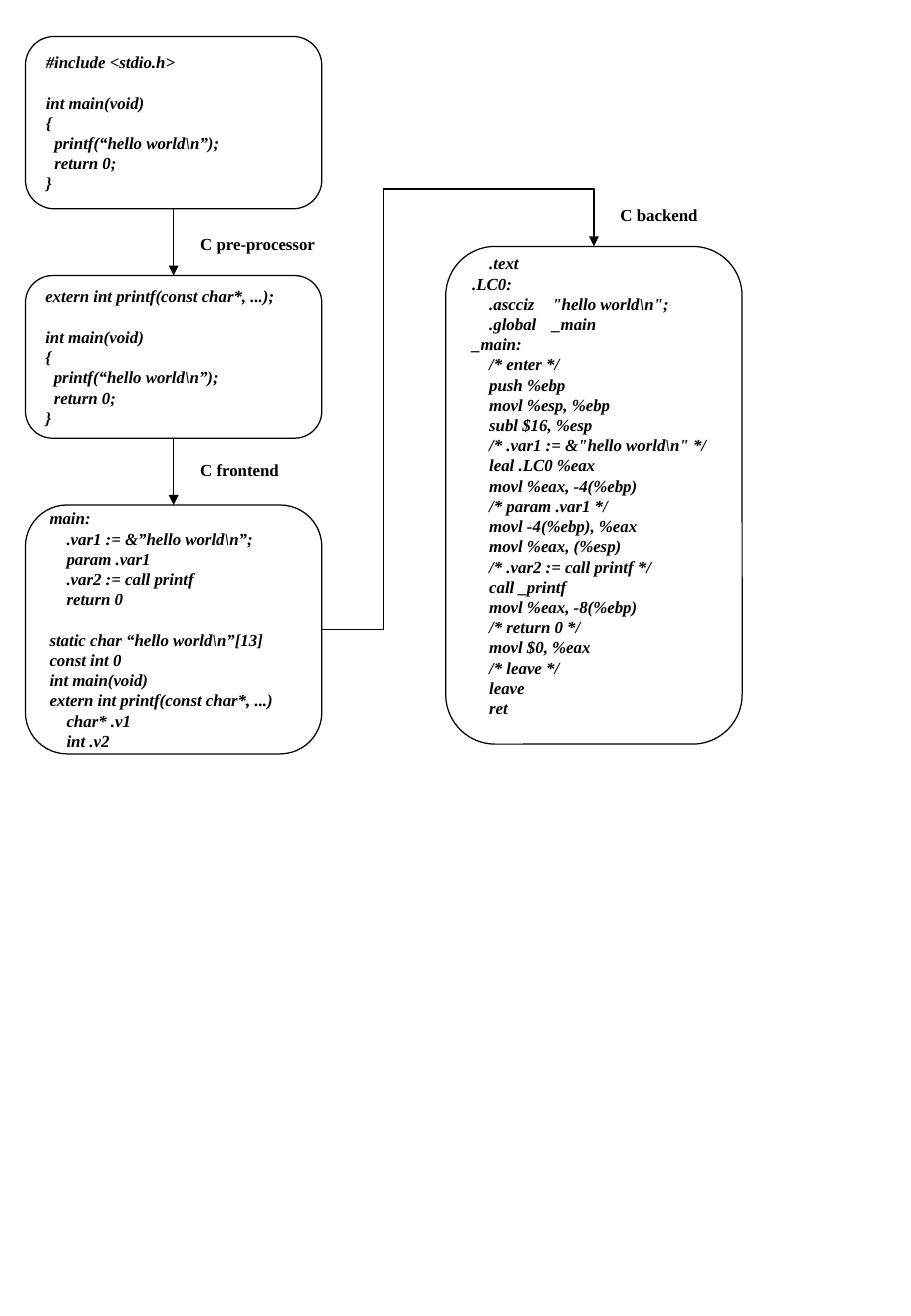
from lxml import etree
from pptx import Presentation
from pptx.dml.color import RGBColor
from pptx.enum.shapes import MSO_CONNECTOR, MSO_SHAPE
from pptx.enum.text import MSO_ANCHOR, PP_ALIGN
from pptx.oxml.ns import qn
from pptx.util import Inches, Pt

ROUNDED = MSO_SHAPE.ROUNDED_RECTANGLE
STRAIGHT, ELBOW = MSO_CONNECTOR.STRAIGHT, MSO_CONNECTOR.ELBOW
MIDDLE, LEFT = MSO_ANCHOR.MIDDLE, PP_ALIGN.LEFT
TOP_SITE, BOTTOM_SITE, RIGHT_SITE = 0, 2, 3
COLORS = {"ink": "000000"}
INK = RGBColor.from_string(COLORS["ink"])
LINE_HEIGHT = Pt(12)
LABEL_FORMAT = {"name": "Times New Roman", "size": Pt(10), "bold": True}
CODE_FORMAT = {**LABEL_FORMAT, "italic": True}

MAIN_CODE = r"""

int main(void)
{
>printf(“hello world\n”);
>return 0;
}"""

INTERMEDIATE_CODE = r"""main:
>.var1 := &”hello world\n”;
>param .var1
>.var2 := call printf
>return 0

static char “hello world\n”[13]
const int 0
int main(void)
extern int printf(const char*, ...)
>char* .v1
>int .v2"""

ASSEMBLY_CODE = r""">.text
.LC0:
>.ascciz>"hello world\n";
>.global>_main
_main:
>/* enter */
>push %ebp
>movl %esp, %ebp
>subl $16, %esp
>/* .var1 := &"hello world\n" */
>leal .LC0 %eax
>movl %eax, -4(%ebp)
>/* param .var1 */
>movl -4(%ebp), %eax
>movl %eax, (%esp)
>/* .var2 := call printf */
>call _printf
>movl %eax, -8(%ebp)
>/* return 0 */
>movl $0, %eax
>/* leave */
>leave
>ret"""

STAGES = [
    ("source", 0.21, 0.3, 1.42, 0.05, [0.07], "#include <stdio.h>" + MAIN_CODE),
    ("preprocessed", 0.21, 2.27, 1.34, 0.05, [0.07],
     "extern int printf(const char*, ...);" + MAIN_CODE),
    ("intermediate", 0.21, 4.16, 2.05, 0.05, [0.14], INTERMEDIATE_CODE),
    ("assembly", 3.67, 2.03, 4.1, 0.21, [0.14, 0.66], ASSEMBLY_CODE),
]
LABELS = [
    ("C pre-processor", 1.55, 1.88, 1.15),
    ("C frontend", 1.55, 3.74, 0.85),
    ("C backend", 5.01, 1.64, 0.85),
]
ARROWS = [
    ("source", BOTTOM_SITE, "preprocessed", STRAIGHT),
    ("preprocessed", BOTTOM_SITE, "intermediate", STRAIGHT),
    ("intermediate", RIGHT_SITE, "assembly", ELBOW),
]


def write_line(paragraph, text, formats):
    paragraph.alignment = LEFT
    paragraph.line_spacing = LINE_HEIGHT
    run = paragraph.add_run()
    run.text = text
    run.font.color.rgb = INK
    for attribute, value in formats.items():
        setattr(run.font, attribute, value)


presentation = Presentation()
presentation.slide_width = Inches(7.5)
presentation.slide_height = Inches(10.84)
slide = presentation.slides.add_slide(presentation.slide_layouts[6])
boxes = {}

for stage, left, top, height, bottom_inset, tab_stops, code in STAGES:
    box = slide.shapes.add_shape(
        ROUNDED, Inches(left), Inches(top), Inches(2.44), Inches(height))
    boxes[stage] = box
    box.adjustments[0] = 0.167
    box.shadow.inherit = False
    box.fill.background()
    box.line.color.rgb = INK
    box.line.width = Pt(0.75)
    frame = box.text_frame
    frame.word_wrap = True
    frame.vertical_anchor = MIDDLE
    frame.margin_bottom = Inches(bottom_inset)
    lines = code.split("\n")
    for index, line in enumerate(lines):
        if not line:
            continue
        paragraph = frame.add_paragraph() if index else frame.paragraphs[0]
        write_line(paragraph, line.replace(">", "\t") if line[0] == ">" else line, CODE_FORMAT)
        if index and not lines[index - 1]:
            paragraph.space_before = LINE_HEIGHT
        properties = paragraph._p.get_or_add_pPr()
        tab_list = etree.SubElement(properties, qn("a:tabLst"))
        for stop in tab_stops:
            etree.SubElement(tab_list, qn("a:tab"), pos=str(Inches(stop)), algn="l")

for text, left, top, width in LABELS:
    label = slide.shapes.add_textbox(
        Inches(left), Inches(top), Inches(width), Inches(0.27))
    label.text_frame.word_wrap = True
    label.text_frame.margin_right = 0
    write_line(label.text_frame.paragraphs[0], text, LABEL_FORMAT)

for start, start_site, end, kind in ARROWS:
    arrow = slide.shapes.add_connector(kind, 0, 0, 0, 0)
    arrow.begin_connect(boxes[start], start_site)
    arrow.end_connect(boxes[end], TOP_SITE)
    arrow.line.color.rgb = INK
    arrow.line.width = Pt(0.75)
    etree.SubElement(arrow.line._get_or_add_ln(), qn("a:tailEnd"), type="triangle")
    shape_properties = arrow._element.spPr
    etree.SubElement(shape_properties, qn("a:effectLst"))
    if kind == ELBOW:
        geometry = shape_properties.find(qn("a:prstGeom"))
        geometry.set("prst", "bentConnector4")
        guides = geometry.find(qn("a:avLst"))
        for guide, value in (("adj1", 22800), ("adj2", 115000)):
            etree.SubElement(guides, qn("a:gd"), name=guide, fmla=f"val {value}")

presentation.save("out.pptx")
